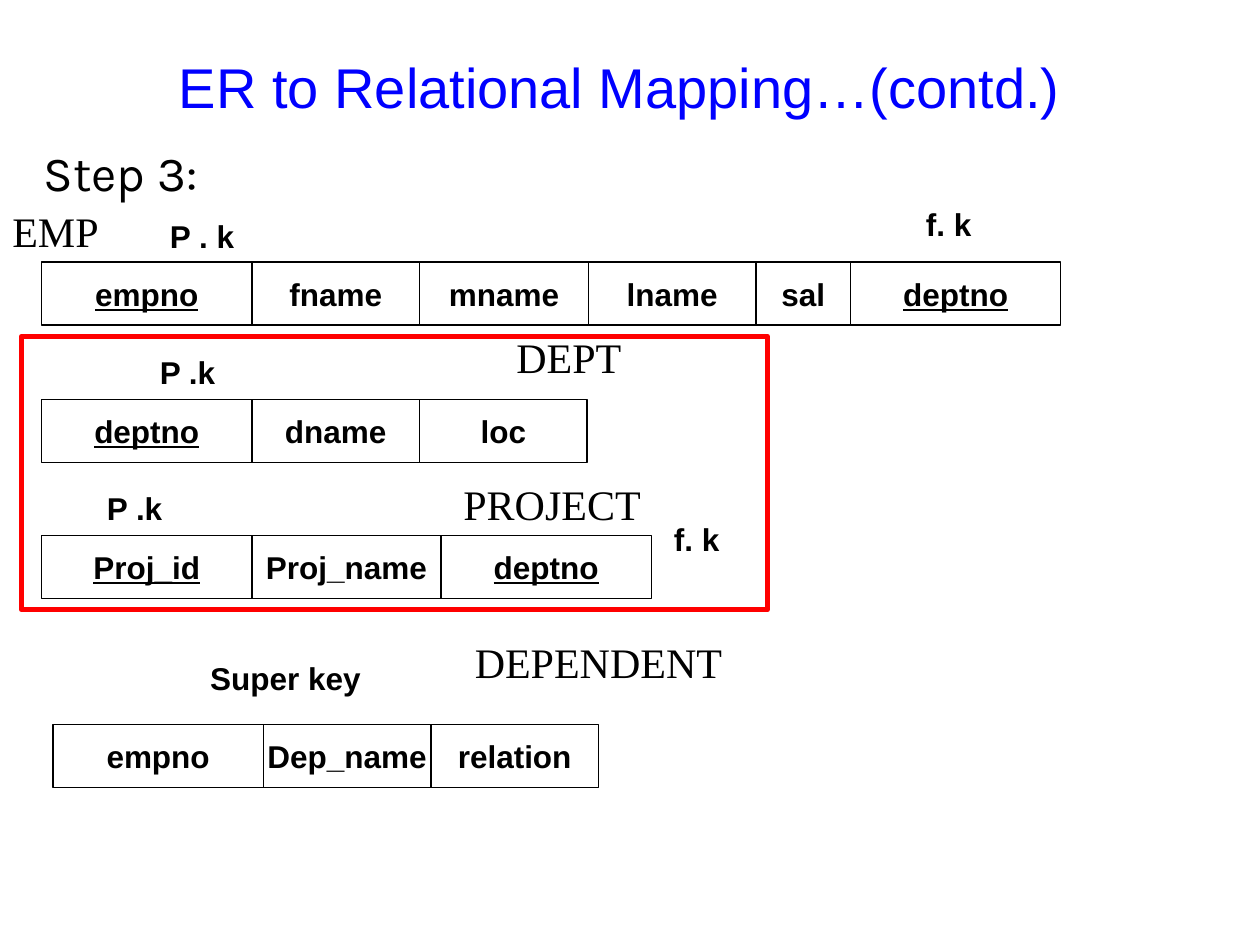
from pptx import Presentation
from pptx.dml.color import RGBColor
from pptx.enum.shapes import MSO_SHAPE
from pptx.enum.text import MSO_ANCHOR, PP_ALIGN
from pptx.util import Inches, Pt

COLORS = {"title": "0000FF", "ink": "000000", "highlight": "FF0000"}
ROW_HEIGHT = 0.5

prs = Presentation()
prs.slide_width, prs.slide_height = Inches(10), Inches(7.5)
slide = prs.slides.add_slide(prs.slide_layouts[5])


def write(shape, text, size=18, font="Arial", color="ink", bold=False,
          underline=False, align=PP_ALIGN.LEFT, anchor=MSO_ANCHOR.TOP, wrap=True):
    frame = shape.text_frame
    frame.word_wrap = wrap
    frame.vertical_anchor = anchor
    paragraph = frame.paragraphs[0]
    paragraph.alignment = align
    run = paragraph.add_run()
    run.text = text
    run.font.size = Pt(size)
    run.font.name = font
    run.font.bold = bold
    run.font.underline = underline
    run.font.color.rgb = RGBColor.from_string(COLORS[color])


def add_box(left, top, width, height, line="ink", weight=0.75):
    box = slide.shapes.add_shape(MSO_SHAPE.RECTANGLE, Inches(left), Inches(top),
                                 Inches(width), Inches(height))
    box.shadow.inherit = False
    box.fill.background()
    box.line.color.rgb = RGBColor.from_string(COLORS[line])
    box.line.width = Pt(weight)
    return box


# Title
title = slide.shapes.title
title.left, title.top = Inches(0.42), Inches(0.25)
title.width, title.height = Inches(9), Inches(0.87)
write(title, "ER to Relational Mapping…(contd.)", size=32, color="title",
      align=PP_ALIGN.CENTER, anchor=MSO_ANCHOR.MIDDLE)

# Step heading
step = slide.shapes.add_textbox(Inches(0.25), Inches(1.08), Inches(1.67), Inches(0.56))
write(step, "Step 3:", size=28, font="Karla")

# Relation names, wide enough to stay on one line
for name, left, top, width in [
    ("EMP", 0, 1.58, 0.9),
    ("DEPT", 4, 2.58, 1.05),
    ("PROJECT", 3.58, 3.75, 2.43),
    ("DEPENDENT", 3.67, 5, 2.43),
]:
    relation = slide.shapes.add_textbox(Inches(left), Inches(top), Inches(width), Inches(0.5))
    write(relation, name, size=24, font="Times New Roman", wrap=width > 2)

# Relation schemas: left, top, then (attribute, width, is underlined key)
schemas = [
    (0.33, 2.08, [("empno", 1.67, True), ("fname", 1.33, False), ("mname", 1.34, False),
                  ("lname", 1.33, False), ("sal", 0.75, False), ("deptno", 1.67, True)]),
    (0.33, 3.17, [("deptno", 1.67, True), ("dname", 1.33, False), ("loc", 1.33, False)]),
    (0.33, 4.25, [("Proj_id", 1.67, True), ("Proj_name", 1.5, False), ("deptno", 1.67, True)]),
    (0.42, 5.75, [("empno", 1.67, False), ("Dep_name", 1.33, False), ("relation", 1.33, False)]),
]
for left, top, attributes in schemas:
    for attribute, width, is_key in attributes:
        cell = add_box(left, top, width, ROW_HEIGHT)
        write(cell, attribute, bold=True, underline=is_key, align=PP_ALIGN.CENTER,
              anchor=MSO_ANCHOR.MIDDLE, wrap=False)
        left += width

# Key labels
for label, left, top, width in [
    ("P .k", 1.17, 2.75, 0.83),
    ("P . k", 1.25, 1.67, 0.83),
    ("P .k", 0.75, 3.83, 0.83),
    ("Super key", 1.57, 5.18, 2),
    ("f. k", 7.25, 1.58, 0.83),
    ("f. k", 5.25, 4.08, 0.83),
]:
    key = slide.shapes.add_textbox(Inches(left), Inches(top), Inches(width), Inches(0.4))
    write(key, label, bold=True)

# Highlight around DEPT and PROJECT
add_box(0.17, 2.67, 5.92, 2.17, line="highlight", weight=3)

prs.save("out.pptx")
